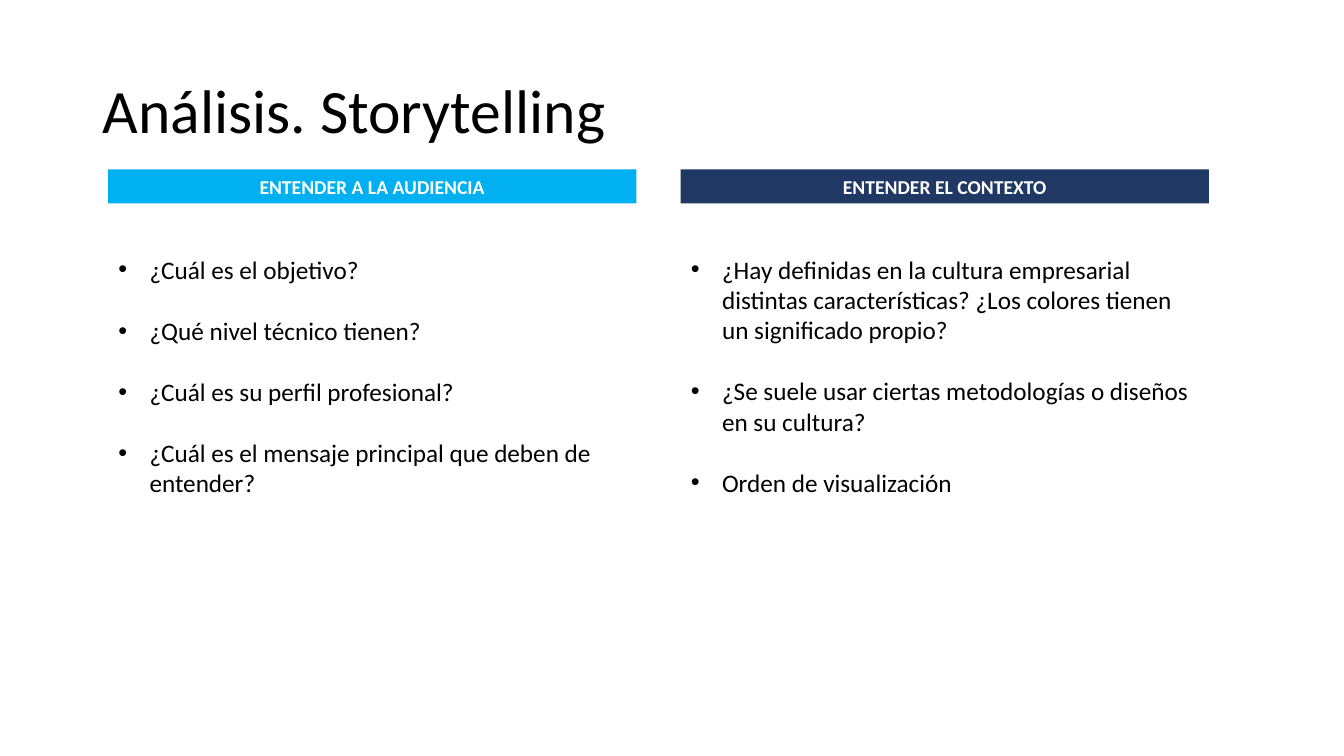
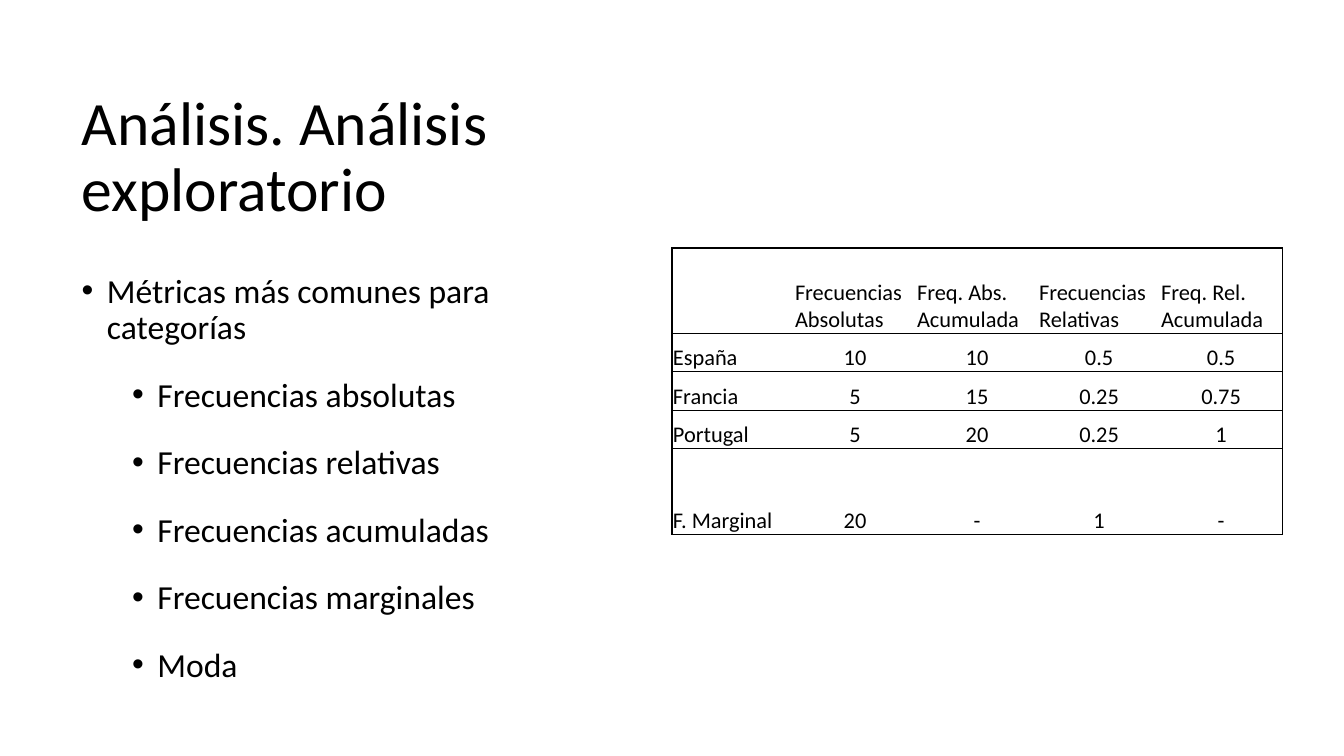
from pptx import Presentation
from pptx.util import Inches, Pt
from pptx.dml.color import RGBColor
from pptx.enum.shapes import MSO_SHAPE as Shape
from pptx.enum.text import PP_ALIGN as Align, MSO_ANCHOR as Anchor, MSO_AUTO_SIZE as Fit
from pptx.oxml.ns import qn
from lxml.etree import SubElement as Sub

BLACK = RGBColor(0x00, 0x00, 0x00)
WHITE = RGBColor(0xFF, 0xFF, 0xFF)
SKY = RGBColor(0x00, 0xB0, 0xF0)
NAVY = RGBColor(0x20, 0x38, 0x64)
FONT = "Calibri"
GRID = 100  # columns and rows on each slide


class Deck:
    """Holds the style and the current slide."""

    def __init__(self):
        self.prs = Presentation()
        self.prs.slide_width = Inches(13.33)
        self.prs.slide_height = Inches(7.5)
        self.slide = None

    def col(self, n):
        return round(self.prs.slide_width * n / GRID)

    def row(self, n):
        return round(self.prs.slide_height * n / GRID)

    def box(self, x, y, w, h):
        return self.col(x), self.row(y), self.col(w), self.row(h)

    def place(self, item, area):
        item.left, item.top, item.width, item.height = self.box(*area)

    def style(self, par, size, color=BLACK, bold=False, align=Align.LEFT):
        par.alignment = align
        for run in par.runs:
            font = run.font
            font.name, font.size, font.bold = FONT, Pt(size), bold
            font.color.rgb = color

    def add(self, layout, title, area):
        """Start a slide with its title."""
        self.slide = self.prs.slides.add_slide(self.prs.slide_layouts[layout])
        head = self.slide.shapes.title
        self.place(head, area)
        frame = head.text_frame
        frame.text = title
        frame.auto_size = Fit.NONE
        frame.vertical_anchor = Anchor.MIDDLE
        par = frame.paragraphs[0]
        par.line_spacing = 0.9
        self.style(par, 44)

    def band(self, text, fill, area):
        bar = self.slide.shapes.add_shape(Shape.RECTANGLE, *self.box(*area))
        bar.shadow.inherit = False
        bar.fill.solid()
        bar.fill.fore_color.rgb = fill
        bar.line.fill.background()
        bar.text_frame.text = text
        self.style(bar.text_frame.paragraphs[0], 14, WHITE, True, Align.CENTER)

    def bullets(self, slot, items, area, size, hang, levels):
        """Fill a body; levels give (line spacing, points before, points after)."""
        body = self.slide.placeholders[slot]
        self.place(body, area)
        frame = body.text_frame
        frame.text = "\n".join(text for text, _ in items)
        frame.auto_size = Fit.NONE
        for par, (_, level) in zip(frame.paragraphs, items):
            par.level = level
            par.line_spacing, before, after = levels[level]
            par.space_before, par.space_after = Pt(before), Pt(after)
            self.style(par, size)
            props = par._p.get_or_add_pPr()
            props.set("marL", str(Inches(hang + level * 0.5)))
            props.set("indent", str(-Inches(hang)))
            Sub(props, qn("a:buFont"), typeface="Arial")
            Sub(props, qn("a:buChar"), char="•")

    def edge(self, cell, sides):
        """Draw the named sides in black and hide the others."""
        props = cell._tc.get_or_add_tcPr()
        for spot, side in enumerate("LRTB"):
            line = Sub(props, qn("a:ln" + side), w=str(Pt(1)))
            props.insert(spot, line)
            if side in sides:
                fill = Sub(line, qn("a:solidFill"))
                Sub(fill, qn("a:srgbClr"), val=str(BLACK))
            else:
                Sub(line, qn("a:noFill"))

    def table(self, data, x, y, width, heights):
        last = len(data[0]) - 1
        area = self.box(x, y, width * len(data[0]), sum(heights))
        grid = self.slide.shapes.add_table(len(data), len(data[0]), *area).table
        grid.first_row = grid.horz_banding = False
        for col in grid.columns:
            col.width = self.col(width)
        for r, (values, high) in enumerate(zip(data, heights)):
            grid.rows[r].height = self.row(high)
            for c, value in enumerate(values):
                cell = grid.cell(r, c)
                cell.text = value
                cell.fill.solid()
                cell.fill.fore_color.rgb = WHITE
                cell.vertical_anchor = Anchor.BOTTOM
                cell.margin_left = cell.margin_right = cell.margin_top = Inches(0.01)
                cell.margin_bottom = 0
                align = Align.CENTER if r and c else Align.LEFT
                self.style(cell.text_frame.paragraphs[0], 16, align=align)
                self.edge(cell, "TB" + "L" * (c == 0) + "R" * (c == last))


def main():
    deck = Deck()

    # Storytelling: two headed columns of questions
    deck.add(3, "Análisis. Storytelling", (6.9, 5.33, 86.25, 19.33))
    themes = [
        ("ENTENDER A LA AUDIENCIA", SKY, [
            "¿Cuál es el objetivo?",
            "¿Qué nivel técnico tienen?",
            "¿Cuál es su perfil profesional?",
            "¿Cuál es el mensaje principal que deben de entender?"]),
        ("ENTENDER EL CONTEXTO", NAVY, [
            "¿Hay definidas en la cultura empresarial distintas características? "
            "¿Los colores tienen un significado propio?",
            "¿Se suele usar ciertas metodologías o diseños en su cultura?",
            "Orden de visualización"]),
    ]
    for n, (name, fill, asks) in enumerate(themes):
        x = 8.05 + n * 42.6
        deck.band(name, fill, (x, 22.4, 39.3, 4.5))
        deck.bullets(n + 1, [(ask, 0) for ask in asks], (x, 32.95, 39.3, 33.6),
                     18, 0.31, [(1.0, 0, 22)])

    # Exploratory analysis: metrics beside a frequency table
    deck.add(1, "Análisis. Análisis exploratorio", (5.33, 9.2, 40.6, 23.6))
    kinds = ["Frecuencias absolutas", "Frecuencias relativas",
             "Frecuencias acumuladas", "Frecuencias marginales", "Moda"]
    items = [("Métricas más comunes para categorías", 0)] + [(k, 1) for k in kinds]
    deck.bullets(1, items, (5.33, 35.6, 40.6, 60.5), 24, 0.25,
                 [(0.9, 10, 0), (1.5, 5, 0)])
    data = [
        ["", "Frecuencias Absolutas", "Freq. Abs. Acumulada",
         "Frecuencias Relativas", "Freq. Rel. Acumulada"],
        ["España", "10", "10", "0.5", "0.5"],
        ["Francia", "5", "15", "0.25", "0.75"],
        ["Portugal", "5", "20", "0.25", "1"],
        ["F. Marginal", "20", "-", "1", "-"],
    ]
    deck.table(data, 50, 32.8, 9.08, [11.33, 5.07, 5.07, 5.07, 11.33])

    deck.prs.save("out.pptx")


if __name__ == "__main__":
    main()
